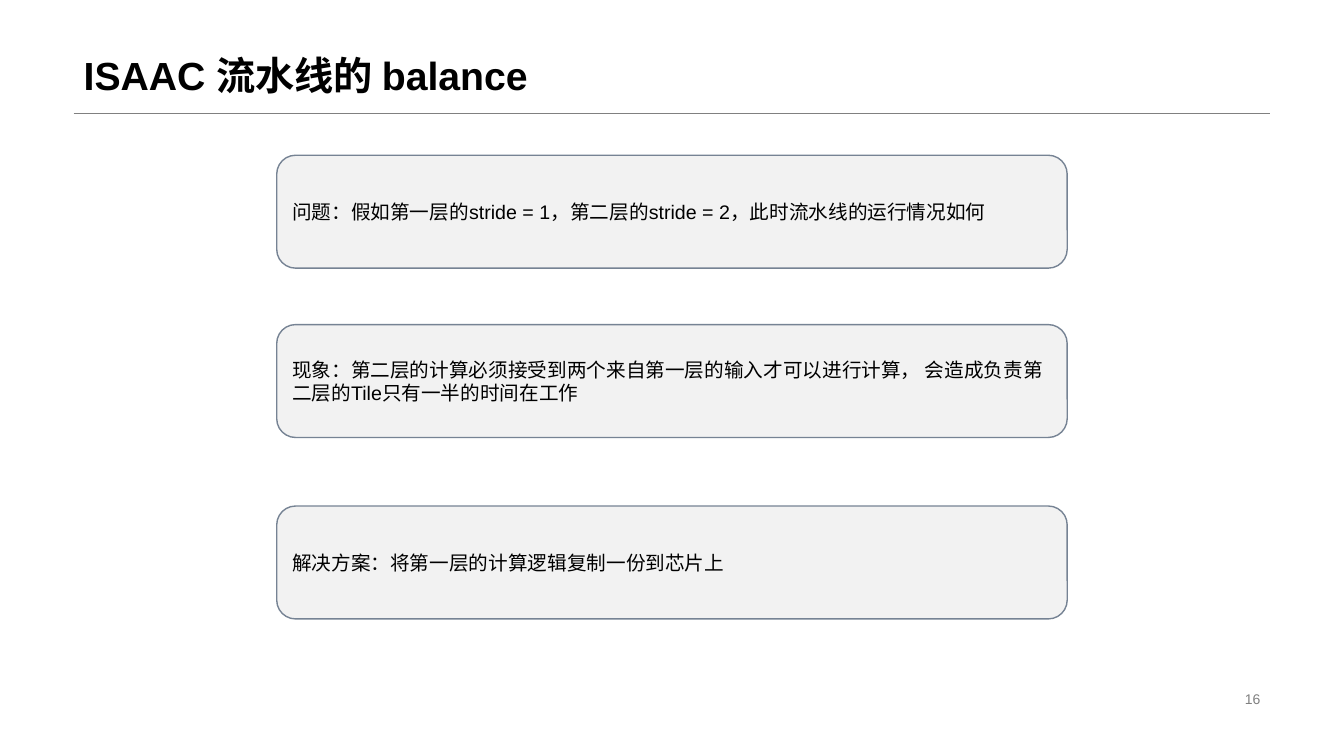
"""Build a slide on balancing the ISAAC pipeline."""
from lxml import etree
from pptx import Presentation, util as u
from pptx.dml.color import RGBColor
from pptx.enum import shapes, text
from pptx.oxml.ns import qn

TITLE = "ISAAC 流水线的 balance"
PAGE = "16"
CARDS = [
    (1.54, "问题：假如第一层的stride = 1，第二层的stride = 2，此时流水线的运行情况如何"),
    (3.22, "现象：第二层的计算必须接受到两个来自第一层的输入才可以进行计算， "
           "会造成负责第二层的Tile只有一半的时间在工作"),
    (5.02, "解决方案：将第一层的计算逻辑复制一份到芯片上"),
]
COLORS = {"text": "000000", "muted": "808080", "card": "F2F2F2", "border": "768394"}
FONT = "Arial"
WIDTH, HEIGHT = 13.33, 7.5
LEFT, RIGHT = 0.73, 12.6
CARD_W, ROW_H = 7.84, 1.12
PAGE_W, PAGE_H = 3.18, 0.23


def color(name):
    return RGBColor.from_string(COLORS[name])


def inches(*values):
    return [u.Inches(v) for v in values]


def write(sp, content, size=14, ink="text", bold=False, spacing=1.0,
          align=text.PP_ALIGN.LEFT, anchor=text.MSO_ANCHOR.MIDDLE):
    tf = sp.text_frame
    tf.word_wrap = True
    tf.auto_size = text.MSO_AUTO_SIZE.NONE
    tf.vertical_anchor = anchor
    p = tf.paragraphs[0]
    p.alignment = align
    p.line_spacing = spacing
    r = p.add_run()
    r.text = content
    r.font.name = FONT
    r.font.size = u.Pt(size)
    r.font.bold = bold
    r.font.color.rgb = color(ink)


def main():
    prs = Presentation()
    prs.slide_width, prs.slide_height = inches(WIDTH, HEIGHT)
    s = prs.slides.add_slide(prs.slide_layouts[5])

    rule = s.shapes.add_connector(shapes.MSO_CONNECTOR.STRAIGHT,
                                  *inches(LEFT, ROW_H, RIGHT, ROW_H))
    rule.line.color.rgb = color("muted")
    rule.line.width = u.Pt(0.25)
    etree.SubElement(rule._element.spPr, qn("a:effectLst"))

    title = s.shapes.title
    title.left, title.top, title.width, title.height = inches(
        LEFT, -0.09, RIGHT - LEFT, ROW_H)
    write(title, TITLE, size=28, bold=True, spacing=0.9,
          anchor=text.MSO_ANCHOR.BOTTOM)

    number = s.shapes.add_textbox(*inches(RIGHT - PAGE_W, 6.82, PAGE_W, PAGE_H))
    write(number, PAGE, size=10, ink="muted", align=text.PP_ALIGN.RIGHT)

    card_left = (LEFT + RIGHT - CARD_W) / 2
    for top, content in CARDS:
        sp = s.shapes.add_shape(shapes.MSO_SHAPE.ROUNDED_RECTANGLE,
                                *inches(card_left, top, CARD_W, ROW_H))
        sp.shadow.inherit = False
        sp.fill.solid()
        sp.fill.fore_color.rgb = color("card")
        sp.line.color.rgb = color("border")
        sp.line.width = u.Pt(1)
        write(sp, content)

    prs.save("out.pptx")


if __name__ == "__main__":
    main()
